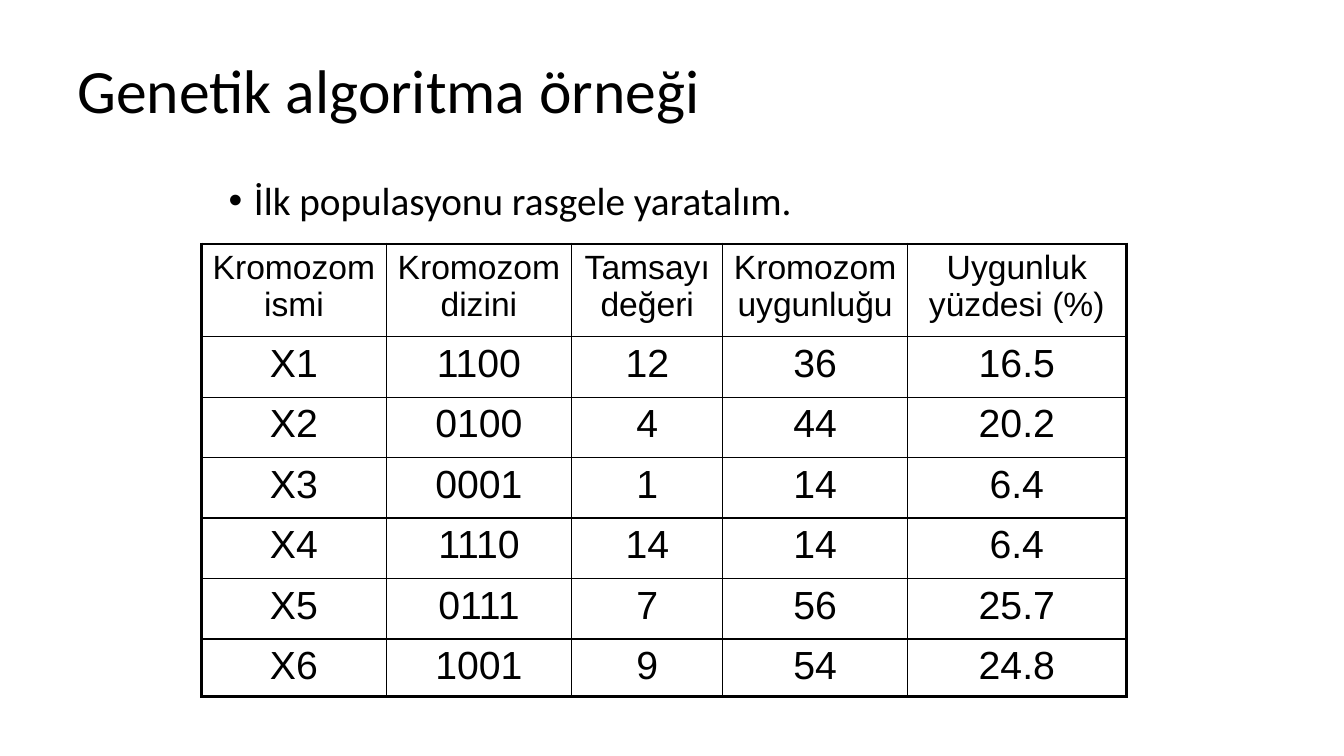
from lxml import etree
from pptx import Presentation
from pptx.dml.color import RGBColor
from pptx.enum.text import MSO_ANCHOR, PP_ALIGN
from pptx.oxml.ns import qn
from pptx.util import Inches, Pt

TOP, MIDDLE = MSO_ANCHOR.TOP, MSO_ANCHOR.MIDDLE
CENTER = PP_ALIGN.CENTER

COLUMN_WIDTHS = [1.83, 1.84, 1.5, 1.83, 2.17]
ROW_HEIGHTS = [0.92] + [0.6] * 5 + [0.57]
POPULATION = [
    ["Kromozom ismi", "Kromozom dizini", "Tamsayı değeri",
     "Kromozom uygunluğu", "Uygunluk yüzdesi (%)"],
    ["X1", "1100", "12", "36", "16.5"],
    ["X2", "0100", "4", "44", "20.2"],
    ["X3", "0001", "1", "14", "6.4"],
    ["X4", "1110", "14", "14", "6.4"],
    ["X5", "0111", "7", "56", "25.7"],
    ["X6", "1001", "9", "54", "24.8"],
]


def color(hex_string):
    return RGBColor.from_string(hex_string)


class SlideBuilder:
    text_font = "Calibri"
    table_font = "Arial"
    ink = "000000"
    outer_line, inner_line = 2.25, 1

    def __init__(self, slide):
        self.slide = slide

    def add_run(self, paragraph, text, size, font):
        run = paragraph.add_run()
        run.text = text
        run.font.size = Pt(size)
        run.font.name = font
        run.font.color.rgb = color(self.ink)

    def add_text(self, left, top, width, height, text, size, anchor=TOP, bullet=None):
        shape = self.slide.shapes.add_textbox(
            Inches(left), Inches(top), Inches(width), Inches(height))
        frame = shape.text_frame
        frame.word_wrap = True
        frame.vertical_anchor = anchor
        paragraph = frame.paragraphs[0]
        paragraph.line_spacing = 0.9
        if bullet:
            properties = paragraph._p.get_or_add_pPr()
            properties.set("marL", str(Inches(0.25)))
            properties.set("indent", str(Inches(-0.25)))
            etree.SubElement(properties, qn("a:buFont"), typeface="Arial")
            etree.SubElement(properties, qn("a:buChar"), char=bullet)
        self.add_run(paragraph, text, size, self.text_font)

    def add_border(self, cell, side, width):
        line = etree.SubElement(
            cell._tc.get_or_add_tcPr(), qn("a:ln" + side), w=str(Pt(width)))
        fill = etree.SubElement(line, qn("a:solidFill"))
        etree.SubElement(fill, qn("a:srgbClr"), val=self.ink)

    def add_table(self, left, top, column_widths, row_heights, rows, header_size, body_size):
        table = self.slide.shapes.add_table(
            len(rows), len(column_widths), Inches(left), Inches(top),
            Inches(sum(column_widths)), Inches(sum(row_heights))).table
        table.first_row = table.horz_banding = False
        for column, width in zip(table.columns, column_widths):
            column.width = Inches(width)
        for row, height in zip(table.rows, row_heights):
            row.height = Inches(height)

        last_row, last_column = len(rows) - 1, len(column_widths) - 1
        for i, values in enumerate(rows):
            for j, value in enumerate(values):
                cell = table.cell(i, j)
                paragraph = cell.text_frame.paragraphs[0]
                paragraph.alignment = CENTER
                size = header_size if i == 0 else body_size
                self.add_run(paragraph, value, size, self.table_font)
                # Thick frame around the table, thin lines inside
                edges = {"L": j == 0, "R": j == last_column,
                         "T": i == 0, "B": i == last_row}
                for side, is_outer in edges.items():
                    self.add_border(
                        cell, side, self.outer_line if is_outer else self.inner_line)
                cell.fill.background()


def main():
    presentation = Presentation()
    presentation.slide_width = Inches(13.33)
    presentation.slide_height = Inches(7.5)
    builder = SlideBuilder(presentation.slides.add_slide(presentation.slide_layouts[6]))

    # Title and introduction
    builder.add_text(0.67, 0.3, 12, 1.25, "Genetik algoritma örneği", 44, anchor=MIDDLE)
    builder.add_text(2.17, 1.75, 9.25, 5.08, "İlk populasyonu rasgele yaratalım.", 28,
                     bullet="•")

    # First population
    builder.add_table(2, 2.42, COLUMN_WIDTHS, ROW_HEIGHTS, POPULATION,
                      header_size=24, body_size=28)

    presentation.save("out.pptx")


if __name__ == "__main__":
    main()
